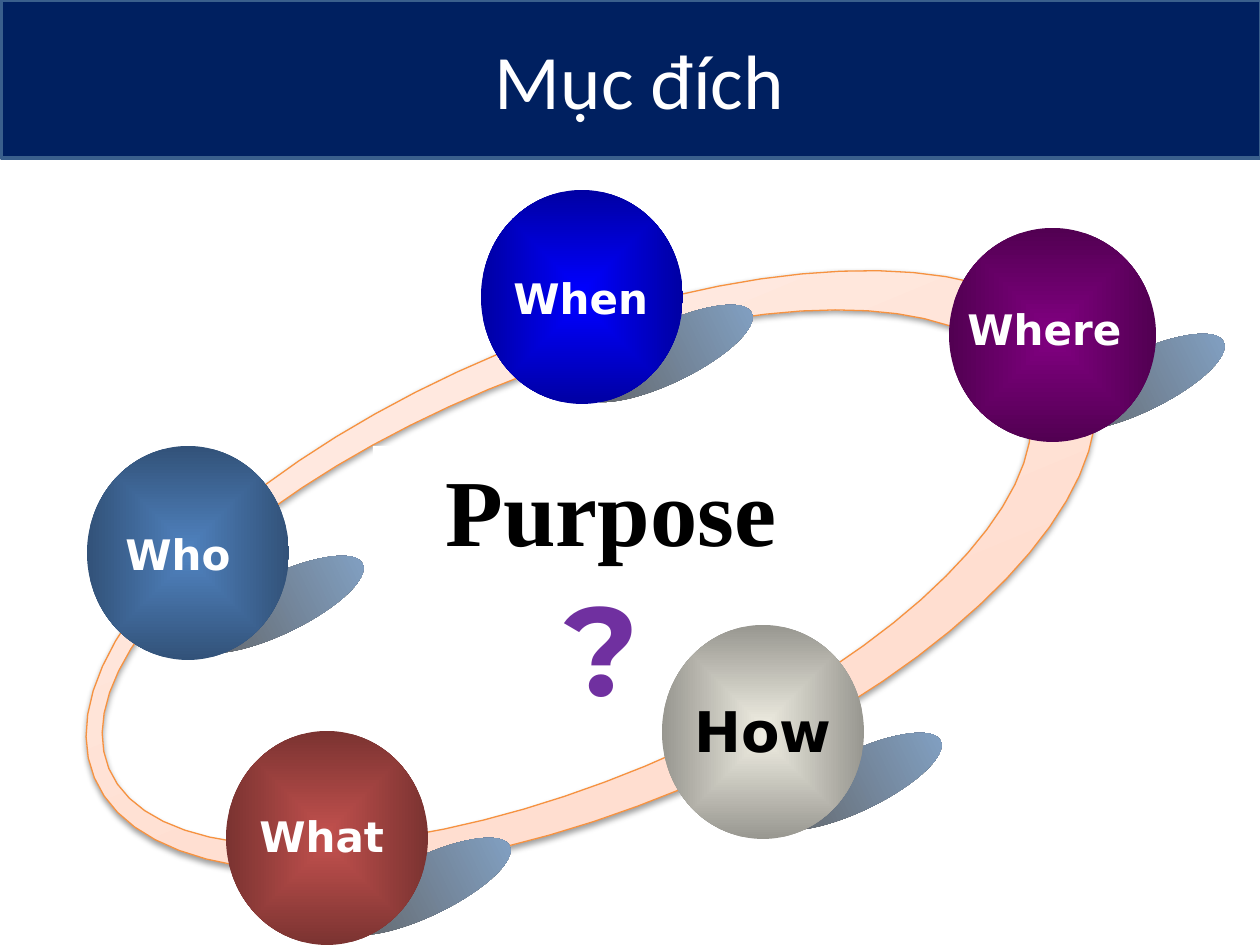
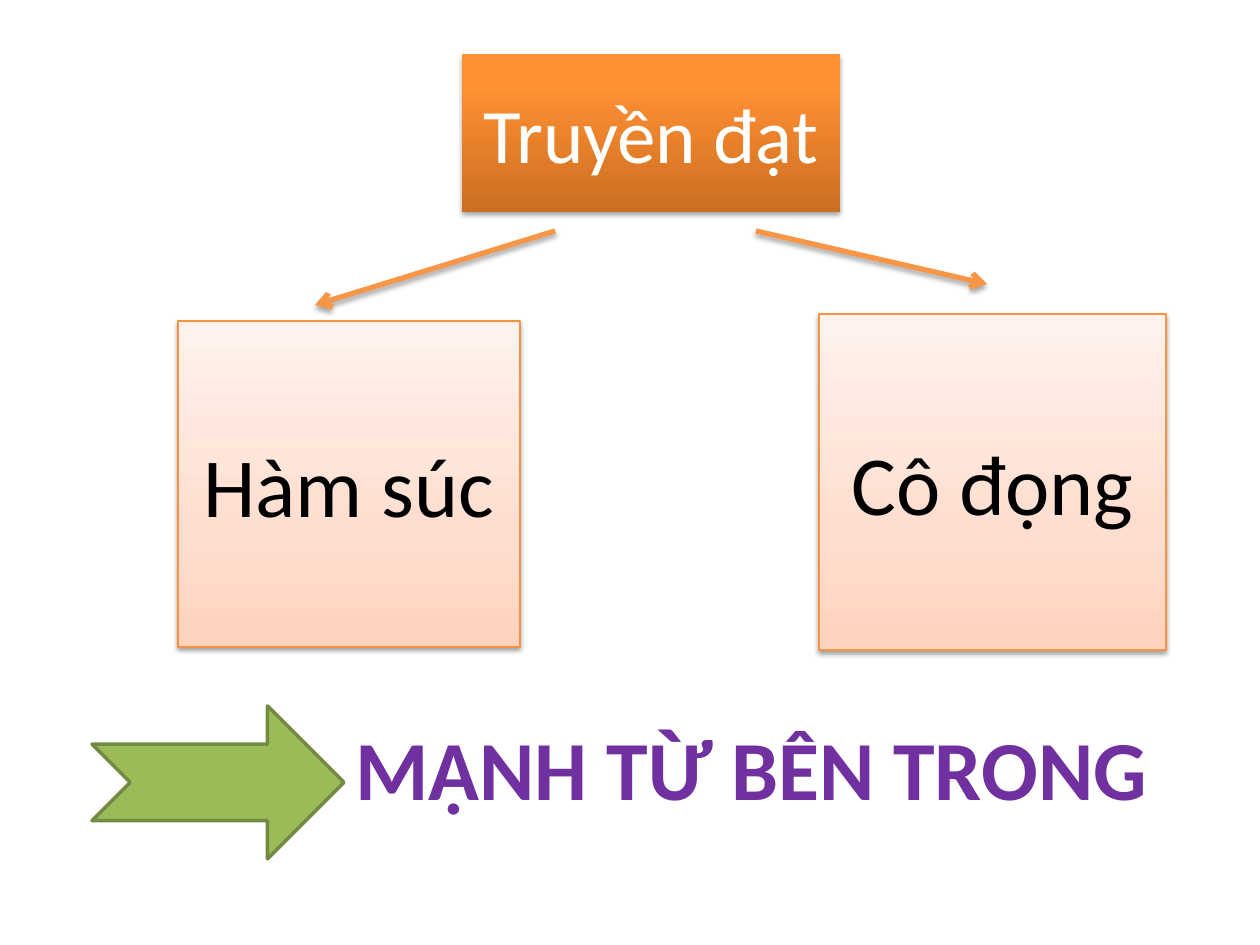
"""Build two slides: a ring of question spheres and a split-idea diagram."""
import dataclasses
import math

import lxml.etree
import pptx
import pptx.dml.color
import pptx.enum.shapes
import pptx.enum.text
import pptx.oxml.ns
import pptx.util

PX = 914400 / 126
SHAPE = pptx.enum.shapes.MSO_SHAPE
ALIGN = pptx.enum.text.PP_ALIGN
ANCHOR = pptx.enum.text.MSO_ANCHOR
FIT = pptx.enum.text.MSO_AUTO_SIZE
DRAWING = "http://schemas.openxmlformats.org/drawingml/2006/main"


@dataclasses.dataclass(frozen=True)
class Theme:
    """Colours, gradients, shadows and type styles shared by the slides."""

    white = "FFFFFF"
    black = "000000"
    band = "002060"
    band_line = "3A5F8C"
    orange = "F79646"
    orange_line = "F69240"
    green = "9BBB59"
    green_line = "738A42"
    purple = "7030A0"
    pale_stops = ((0, "FFD2BD"), (35, "FFDED0"), (100, "FFF2ED"))
    strong_stops = ((0, "CC6E20"), (80, "FF9034"), (100, "FF9136"))
    cast_stops = ((0, "5F5F5F"), (100, "84A5CA"))
    soft_shadow = (38, 1.6)
    firm_shadow = (35, 1.8)
    heading = {"name": "Calibri", "size": pptx.util.Pt(44), "bold": False}
    box = {"name": "Calibri", "size": pptx.util.Pt(48), "bold": False}
    conclusion = {"name": "Calibri", "size": pptx.util.Pt(48), "bold": True}
    sphere = {"name": "DejaVu Sans", "size": pptx.util.Pt(24), "bold": True}
    large_sphere = {"name": "DejaVu Sans", "size": pptx.util.Pt(32), "bold": True}
    purpose = {"name": "Times New Roman", "size": pptx.util.Pt(54), "bold": True}
    question = {"name": "Montserrat", "size": pptx.util.Pt(72), "bold": True}


THEME = Theme()


def px(*lengths):
    """Turn px lengths into a list of EMU."""
    return [round(length * PX) for length in lengths]


def rgb(colour):
    """Turn a hex string into a colour."""
    return pptx.dml.color.RGBColor.from_string(colour)


def xml(markup):
    """Parse a DrawingML fragment whose root holds the namespace mark."""
    return lxml.etree.fromstring(markup.replace("@", f'xmlns:a="{DRAWING}"', 1))


def paint(shape, fill, line=None, width=0.75):
    """Give a shape a plain fill, an optional outline and no shadow."""
    shape.fill.solid()
    shape.fill.fore_color.rgb = rgb(fill)
    if line:
        shape.line.color.rgb = rgb(line)
        shape.line.width = pptx.util.Pt(width)
    else:
        shape.line.fill.background()
    shape.shadow.inherit = False


def shade_fill(shape, stops, direction):
    """Replace the plain fill with a gradient along the given direction."""
    marks = "".join(
        f'<a:gs pos="{place * 1000}"><a:srgbClr val="{colour}">{change}</a:srgbClr></a:gs>'
        for place, colour, change in ((*stop, "")[:3] if len(stop) == 2 else stop for stop in stops))
    solid = shape._element.spPr.find(pptx.oxml.ns.qn("a:solidFill"))
    solid.getparent().replace(solid, xml(
        f'<a:gradFill @ rotWithShape="1"><a:gsLst>{marks}</a:gsLst>{direction}</a:gradFill>'))


def linear(degrees):
    """Describe a linear gradient direction."""
    return f'<a:lin ang="{degrees * 60000}" scaled="0"/>'


def cast_shadow(shape, shadow):
    """Drop a blurred shadow straight below a shape or connector."""
    opacity, distance = shadow
    properties = shape._element.spPr
    effects = properties.find(pptx.oxml.ns.qn("a:effectLst"))
    if effects is None:
        effects = xml("<a:effectLst @/>")
        properties.append(effects)
    effects.append(xml(
        f'<a:outerShdw @ blurRad="{round(3.1 * 12700)}" dist="{round(distance * 12700)}" '
        f'dir="5400000" rotWithShape="0"><a:srgbClr val="{THEME.black}">'
        f'<a:alpha val="{opacity * 1000}"/></a:srgbClr></a:outerShdw>'))


def write(shape, text, style, colour, alignment=ALIGN.CENTER, **frame_format):
    """Write one styled paragraph into a shape."""
    frame = shape.text_frame
    for name, value in ({"word_wrap": True} | frame_format).items():
        setattr(frame, name, value)
    paragraph = frame.paragraphs[0]
    paragraph.alignment = alignment
    run = paragraph.add_run()
    run.text = text
    for name, value in style.items():
        setattr(run.font, name, value)
    run.font.color.rgb = rgb(colour)


def add_label(slide, box, text, style, colour, wrap=False):
    """Add a left-aligned text box that grows with its text."""
    label = slide.shapes.add_textbox(*px(*box))
    write(label, text, style, colour, ALIGN.LEFT, word_wrap=wrap,
          auto_size=FIT.SHAPE_TO_FIT_TEXT)


def add_title_band(slide, box, text):
    """Draw the band and put the title placeholder on it."""
    left, top, width, height = box
    band = slide.shapes.add_shape(SHAPE.FLOWCHART_PROCESS, *px(*box))
    paint(band, THEME.band, THEME.band_line, 2)
    title = slide.shapes.title
    places = px(left + 63, top, width - 126, height)
    for name, value in zip(("left", "top", "width", "height"), places):
        setattr(title, name, value)
    write(title, text, THEME.heading, THEME.white, vertical_anchor=ANCHOR.MIDDLE)
    band._element.addnext(title._element)


def ellipse_points(centre_x, centre_y, radius_x, radius_y, count=72):
    """List the EMU points of an ellipse."""
    angles = (2 * math.pi * step / count for step in range(count))
    return [px(centre_x + radius_x * math.cos(angle), centre_y + radius_y * math.sin(angle))
            for angle in angles]


def add_ring(slide, box):
    """Draw a tilted ring that is thicker on its right side."""
    left, top, width, height = box
    centre_x, centre_y = left + width / 2, top + height / 2
    outer = ellipse_points(centre_x, centre_y, width / 2, height / 2)
    hole = ellipse_points(centre_x - 25, centre_y - 3, width / 2 - 42, height / 2 - 32)
    builder = slide.shapes.build_freeform(*outer[0])
    builder.add_line_segments(outer[1:], close=True)
    builder.move_to(*hole[0])
    builder.add_line_segments(hole[:0:-1], close=True)
    ring = builder.convert_to_shape()
    ring.rotation = 337.4
    paint(ring, THEME.white, THEME.orange_line)
    shade_fill(ring, THEME.pale_stops, linear(270))
    cast_shadow(ring, THEME.soft_shadow)


def add_cast_ellipse(slide, box, offset):
    """Draw the slanted ellipse that a sphere casts."""
    ellipse = slide.shapes.add_shape(
        SHAPE.OVAL, *px(box[0] + offset[0], box[1] + offset[1], 188, 59))
    ellipse.rotation = 334.3
    paint(ellipse, THEME.white)
    shade_fill(ellipse, THEME.cast_stops, linear(0))


def add_sphere(slide, box, colour):
    """Draw a sphere that darkens towards its edge."""
    sphere = slide.shapes.add_shape(SHAPE.OVAL, *px(*box))
    paint(sphere, colour)
    centre = '<a:path path="shape"><a:fillToRect l="50000" t="50000" r="50000" b="50000"/></a:path>'
    shade_fill(sphere, ((0, colour), (100, colour, '<a:shade val="36000"/>')), centre)


def add_purpose(slide, box):
    """Write the central word with the question mark below it."""
    left, top, width, height = box
    panel = slide.shapes.add_shape(SHAPE.RECTANGLE, *px(*box))
    paint(panel, THEME.white)
    write(panel, "Purpose", THEME.purpose, THEME.black,
          vertical_anchor=ANCHOR.TOP, auto_size=FIT.SHAPE_TO_FIT_TEXT)
    add_label(slide, (left + 179, top + 118, 98, 150), "?", THEME.question, THEME.purple)


def build_purpose_slide(presentation):
    """Build the ring of five question spheres."""
    slide = presentation.slides.add_slide(presentation.slide_layouts[5])
    add_title_band(slide, (1, 0, 1260, 158), " Mục đích")
    add_ring(slide, (53, 335, 1076, 472))
    small, large = THEME.sphere, THEME.large_sphere
    spheres = (
        ("When", (481, 190, 202, 214), "0000FF", (92, 134), (20, 76, 163, 63), small, THEME.white),
        ("Who", (87, 446, 202, 214), "4F81BD", (97, 129), (26, 76, 132, 63), small, THEME.white),
        ("What", (226, 731, 202, 214), "C0504D", (105, 126), (21, 73, 151, 63), small, THEME.white),
        ("How", (662, 625, 202, 214), "EEECE1", (100, 127), (20, 65, 168, 81), large, THEME.black),
        ("Where", (949, 228, 207, 214), "800080", (96, 125), (6, 69, 181, 63), small, THEME.white),
    )
    for _, box, _, offset, *_ in spheres:
        add_cast_ellipse(slide, box, offset)
    for word, box, colour, _, label, style, ink in spheres:
        add_sphere(slide, box, colour)
        label_box = (box[0] + label[0], box[1] + label[1], *label[2:])
        add_label(slide, label_box, word, style, ink)
    add_purpose(slide, (373, 446, 476, 127))


def add_idea_box(slide, box, text, style, ink, stops, shadow, line=None):
    """Draw a gradient box with a centred word."""
    idea = slide.shapes.add_shape(SHAPE.RECTANGLE, *px(*box))
    paint(idea, THEME.white, line)
    shade_fill(idea, stops, linear(270))
    cast_shadow(idea, shadow)
    write(idea, text, style, ink, vertical_anchor=ANCHOR.MIDDLE)


def add_arrow(slide, ends):
    """Draw an orange arrow between two points."""
    arrow = slide.shapes.add_connector(pptx.enum.shapes.MSO_CONNECTOR.STRAIGHT, *px(*ends))
    arrow.line.color.rgb = rgb(THEME.orange)
    arrow.line.width = pptx.util.Pt(3)
    arrow.line._get_or_add_ln().append(xml('<a:tailEnd @ type="arrow"/>'))
    cast_shadow(arrow, THEME.firm_shadow)


def add_conclusion(slide, box, text):
    """Draw the notched arrow and the conclusion beside it."""
    left, top, width, height = box
    arrow = slide.shapes.add_shape(SHAPE.NOTCHED_RIGHT_ARROW, *px(left, top, 252, height))
    paint(arrow, THEME.green, THEME.green_line, 2)
    add_label(slide, (left + 251, top + 4, width - 251, 115), text,
              THEME.conclusion, THEME.purple, wrap=True)


def build_message_slide(presentation):
    """Build the idea that splits in two and its conclusion."""
    slide = presentation.slides.add_slide(presentation.slide_layouts[6])
    add_idea_box(slide, (462, 54, 378, 158), "Truyền đạt", THEME.heading, THEME.white,
                 THEME.strong_stops, THEME.firm_shadow)
    for text, box in (("Hàm súc", (178, 321, 342, 326)), ("Cô đọng", (819, 314, 347, 336))):
        add_idea_box(slide, box, text, THEME.box, THEME.black,
                     THEME.pale_stops, THEME.soft_shadow, THEME.orange_line)
    for ends in ((555, 231, 315, 305), (756, 231, 987, 284)):
        add_arrow(slide, ends)
    add_conclusion(slide, (92, 706, 1108, 153), "MẠNH TỪ BÊN TRONG")


def main():
    """Build and save the presentation."""
    presentation = pptx.Presentation()
    presentation.slide_width, presentation.slide_height = px(1260, 945)
    build_purpose_slide(presentation)
    build_message_slide(presentation)
    presentation.save("out.pptx")


if __name__ == "__main__":
    main()
